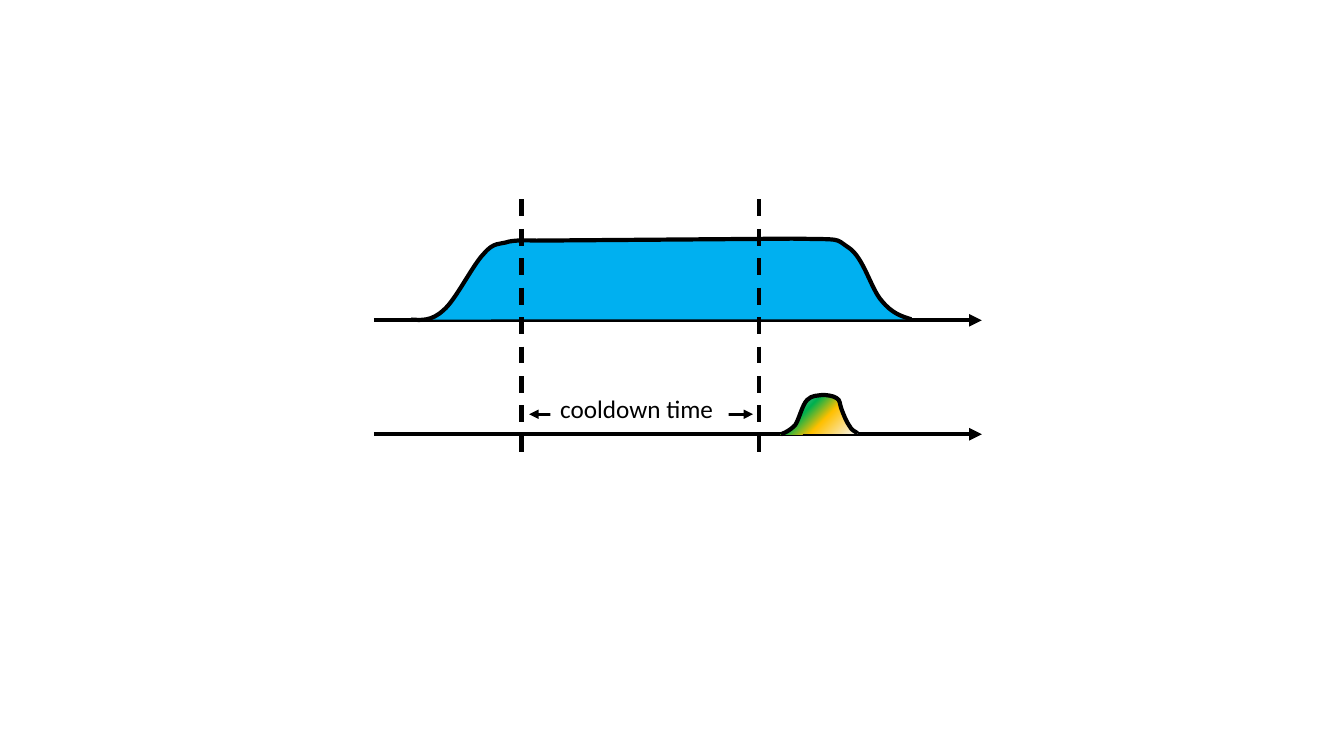
from collections import namedtuple
from itertools import chain

from lxml.etree import SubElement
from pptx import Presentation
from pptx.dml.color import RGBColor
from pptx.enum.dml import MSO_LINE
from pptx.enum.shapes import MSO_CONNECTOR
from pptx.enum.text import MSO_AUTO_SIZE, PP_ALIGN
from pptx.oxml.ns import qn
from pptx.util import Pt

BLACK = RGBColor(0x00, 0x00, 0x00)
WHITE = RGBColor(0xFF, 0xFF, 0xFF)
SKY_BLUE = RGBColor(0x00, 0xB0, 0xF0)
PALE_GREY = RGBColor(0xF6, 0xF8, 0xFC)
GOLD = RGBColor(0xFF, 0xC0, 0x00)
GREEN = RGBColor(0x00, 0xB0, 0x50)
PALE_BLUE = RGBColor(0xC7, 0xD5, 0xED)

PULSE_STOPS = [(0, PALE_GREY), (42, GOLD), (65, GREEN), (100, PALE_BLUE)]
LABEL_FONT = {"name": "Calibri", "size": Pt(18)}

LONG_PULSE = [
    [(0, 0.5)],
    [(7.2, 0), (14.4, -0.7), (23, 7.2)],
    [(31.7, 14.4), (43.9, 39.6), (51.8, 47.5)],
    [(59, 56.2), (63.4, 54), (69.8, 56.2)],
    [(76.3, 57.6), (89.3, 56.9), (89.3, 56.9)],
    [(272.2, 58.3)],
    [(309.6, 57.6), (301.7, 59), (312.5, 51.8)],
    [(323.3, 44.6), (328.3, 22.3), (336.2, 13.7)],
    [(343.4, 5), (349.9, 2.9), (357.1, 0.7)],
]
SHORT_PULSE = [
    [(0, 0)],
    [(3.6, 1.4), (6.5, 2.9), (10.1, 6.5)],
    [(13, 10.8), (15.1, 20.9), (18.7, 24.5)],
    [(22.3, 28.1), (25.9, 27.4), (29.5, 28.1)],
    [(33.1, 28.1), (37.4, 27.4), (39.6, 25.9)],
    [(42.5, 24.5), (41.8, 21.6), (43.2, 18)],
    [(44.6, 14.4), (46.8, 8.6), (49, 5.8)],
    [(50.4, 2.9), (52.6, 2.2), (54.7, 0.7)],
]

Box = namedtuple("Box", "left top width height")


def set_values(target, values):
    """Set each named attribute of the target."""
    for name, value in values.items():
        setattr(target, name, value)


def add_line(page, start, end, width=3, dash=None, arrows=()):
    """Draw a black line with optional dashes and arrowheads."""
    ends = [Pt(value) for value in (*start, *end)]
    connector = page.shapes.add_connector(MSO_CONNECTOR.STRAIGHT, *ends)
    set_values(connector.line, {"width": Pt(width), "dash_style": dash})
    connector.line.color.rgb = BLACK
    outline = connector.line._get_or_add_ln()
    for arrow in arrows:
        SubElement(outline, qn(f"a:{arrow}"), type="triangle")
    SubElement(connector._element.spPr, qn("a:effectLst"))


def bend(shape, profile):
    """Join the outline's straight steps into the curves of the profile."""
    outline = next(shape._element.iter(qn("a:path")))
    steps = iter(outline.findall(qn("a:lnTo")))
    for controls in profile[1:]:
        kind = "a:cubicBezTo" if len(controls) == 3 else "a:lnTo"
        segment = SubElement(outline, qn(kind))
        for _ in controls:
            step = next(steps)
            segment.append(step[0])
            outline.remove(step)


def add_pulse(page, left, baseline, profile):
    """Draw a pulse outline that rises from a baseline and return it."""
    points = [(Pt(left + x), Pt(baseline - y))
              for x, y in chain.from_iterable(profile)]
    builder = page.shapes.build_freeform(*points[0])
    builder.add_line_segments(points[1:], close=False)
    pulse = builder.convert_to_shape()
    bend(pulse, profile)
    pulse.shadow.inherit = False
    pulse.line.width = Pt(3)
    pulse.line.color.rgb = BLACK
    return pulse


def fill_gradient(shape, stops, angle):
    """Fill a shape with a linear gradient through the given stops."""
    shape.fill.gradient()
    shape.fill.gradient_angle = angle
    stop_list = shape._element.spPr.find(qn("a:gradFill")).find(qn("a:gsLst"))
    for old_stop in list(stop_list):
        stop_list.remove(old_stop)
    for percent, colour in stops:
        stop = SubElement(stop_list, qn("a:gs"), pos=str(percent * 1000))
        SubElement(stop, qn("a:srgbClr"), val=str(colour))


def add_label(page, box, text):
    """Place a black label on a white ground."""
    label = page.shapes.add_textbox(*(Pt(value) for value in box))
    label.fill.solid()
    label.fill.fore_color.rgb = WHITE
    set_values(label.text_frame, {
        "word_wrap": False, "auto_size": MSO_AUTO_SIZE.SHAPE_TO_FIT_TEXT})
    para = label.text_frame.paragraphs[0]
    para.alignment = PP_ALIGN.LEFT
    span = para.add_run()
    span.text = text
    set_values(span.font, LABEL_FONT)
    span.font.color.rgb = BLACK


def add_timeline(page, box, offset, profile):
    """Draw a time axis on the foot of the box with a pulse on it."""
    baseline = box.top + box.height
    add_line(page, (box.left, baseline), (box.left + box.width, baseline),
             arrows=["tailEnd"])
    return add_pulse(page, box.left + offset, baseline, profile)


def add_cooldown(page, box):
    """Mark the cooldown time between the two sides of the box."""
    right, bottom = box.left + box.width, box.top + box.height
    for x in (right, box.left):
        add_line(page, (x, box.top), (x, bottom), dash=MSO_LINE.DASH)
    level = bottom - 28.7
    add_line(page, (box.left + 5.5, level), (right - 4.3, level),
             width=2.25, arrows=["headEnd", "tailEnd"])
    add_label(page, Box(box.left + 20.6, level - 18.7, 127.4, 29),
              "cooldown time")


def add_diagram(page, box):
    """Draw both timelines and the cooldown marks in the box."""
    upper = Box(box.left, box.top, box.width, 86.4)
    lower = Box(box.left, box.top + 86.4, box.width, 81.4)
    long_pulse = add_timeline(page, upper, 26.7, LONG_PULSE)
    long_pulse.fill.solid()
    long_pulse.fill.fore_color.rgb = SKY_BLUE
    short_pulse = add_timeline(page, lower, 290.8, SHORT_PULSE)
    fill_gradient(short_pulse, PULSE_STOPS, 135)
    add_cooldown(page, Box(box.left + 105.4, box.top, 169.7, box.height))


def main():
    """Build the slide and save it."""
    deck = Presentation()
    set_values(deck, {"slide_width": Pt(960), "slide_height": Pt(540)})
    page = deck.slides.add_slide(deck.slide_layouts[6])
    add_diagram(page, Box(267.1, 142.4, 434.2, 182.2))
    deck.save("out.pptx")


if __name__ == "__main__":
    main()
